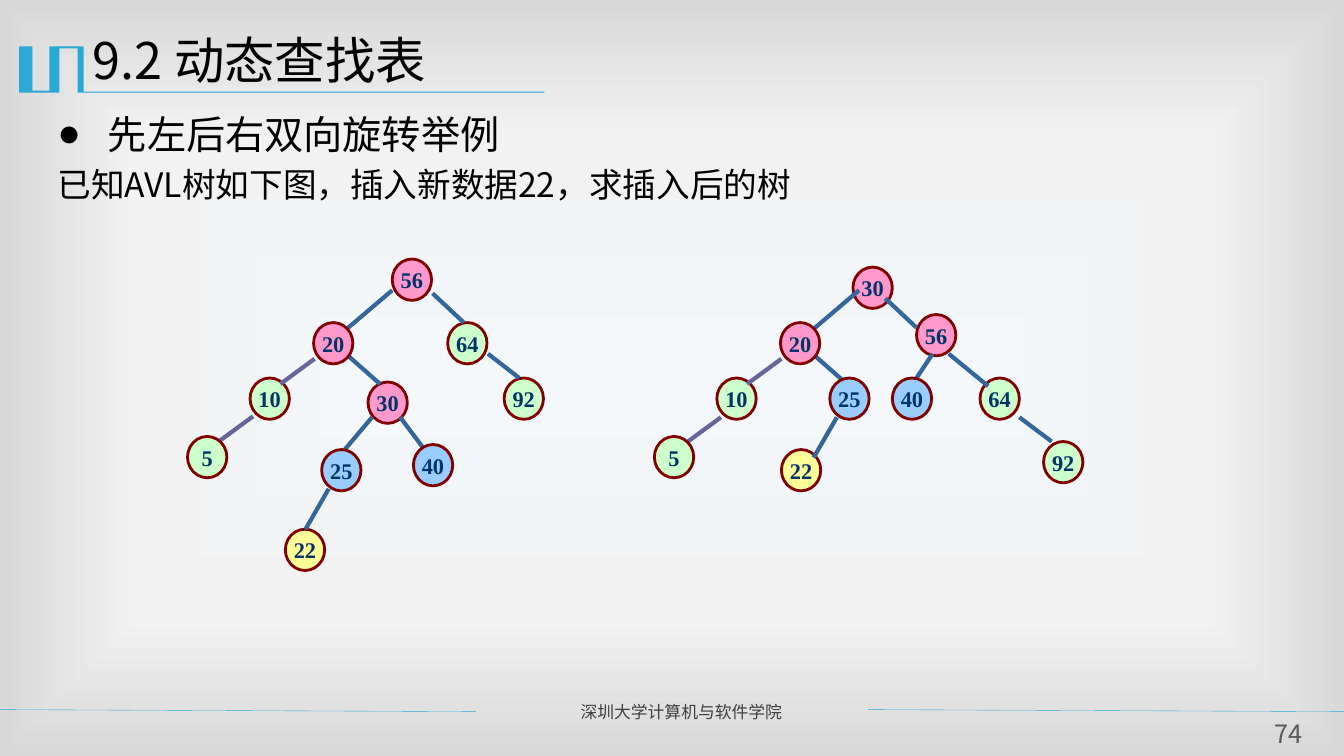
import pptx
import pptx.util
import pptx.oxml
import pptx.oxml.ns
import pptx.dml.color
import pptx.enum.text
import pptx.enum.shapes

Inches = pptx.util.Inches
Pt = pptx.util.Pt
hue = pptx.dml.color.RGBColor.from_string
align = pptx.enum.text.PP_ALIGN
anchor = pptx.enum.text.MSO_ANCHOR
kind = pptx.enum.shapes
space = pptx.oxml.ns.nsdecls("a", "p")
sans = "Noto Sans CJK SC"
teal = "28A9D6"


def say(para, text, size, color, face=sans, bold=False):
    run = para.add_run()
    run.text = text
    run.font.size = Pt(size)
    run.font.bold = bold
    run.font.color.rgb = hue(color)
    run.font.name = face
    run.font._element.append(pptx.oxml.parse_xml(f'<a:ea {space} typeface="{face}"/>'))


def link(home, ends, color, width):
    line = home.add_connector(kind.MSO_CONNECTOR.STRAIGHT, *map(Inches, ends))
    line.line.color.rgb = hue(color)
    line.line.width = Pt(width)
    line._element.spPr.append(pptx.oxml.parse_xml(f"<a:effectLst {space}/>"))


deck = pptx.Presentation()
deck.slide_width = Inches(13.33)
deck.slide_height = Inches(7.5)
slide = deck.slides.add_slide(deck.slide_layouts[1])
shapes = slide.shapes

stops = "".join(
    f'<a:gs pos="{spot * 1000}"><a:srgbClr val="{color}"/></a:gs>'
    for spot, color in [(0, "F4F8FB"), (63, "F2F2F2"), (100, "D8D8D8")]
)
slide.element.cSld.insert(0, pptx.oxml.parse_xml(
    f'<p:bg {space}><p:bgPr><a:gradFill rotWithShape="1"><a:gsLst>{stops}</a:gsLst>'
    '<a:path path="rect"><a:fillToRect l="50000" t="50000" r="50000" b="50000"/></a:path>'
    "</a:gradFill><a:effectLst/></p:bgPr></p:bg>"
))

outline = [
    (0.82, 0.46), (0.83, 0.46), (0.83, 0.91), (5.4, 0.91), (5.4, 0.92),
    (0.77, 0.92), (0.77, 0.48), (0.59, 0.48), (0.59, 0.92), (0.19, 0.92),
    (0.19, 0.46), (0.32, 0.46), (0.32, 0.9), (0.49, 0.9), (0.49, 0.46),
]
points = [(Inches(x), Inches(y)) for x, y in outline]
pen = shapes.build_freeform(*points[0])
pen.add_line_segments(points[1:], close=True)
mark = pen.convert_to_shape()
mark.shadow.inherit = False
mark.fill.solid()
mark.fill.fore_color.rgb = hue(teal)
mark.line.fill.background()

for left, right in [(-0.01, 4.72), (8.61, 13.33)]:
    link(shapes, (left, 7.04, right, 7.06), teal, 0.25)

foot = shapes.add_textbox(Inches(5.66), Inches(6.91), Inches(2.85), Inches(0.3))
foot.text_frame.word_wrap = True
say(foot.text_frame.paragraphs[0], "深圳大学计算机与软件学院", 12, "3F3F3F")

title, body = shapes.title, slide.placeholders[1]
for holder, box in [(title, (0.82, 0.24, 12, 0.87)), (body, (0.47, 1.04, 12.13, 1.83))]:
    holder.left, holder.top, holder.width, holder.height = map(Inches, box)
    holder.text_frame.vertical_anchor = anchor.TOP
    holder.text_frame.auto_size = pptx.enum.text.MSO_AUTO_SIZE.NONE
head = title.text_frame.paragraphs[0]
head.alignment = align.LEFT
say(head, "9.2 动态查找表", 36, "000000")

first = body.text_frame.paragraphs[0]
second = body.text_frame.add_paragraph()
for para, text, size, indent, bullet, gap in [
    (first, "先左后右双向旋转举例", 28, 0.5, '<a:buChar {} char="●"/>', 0),
    (second, "已知AVL树如下图，插入新数据22，求插入后的树", 24, 0, "<a:buNone {}/>", 4.8),
]:
    para.level = 1
    props = para._p.get_or_add_pPr()
    props.set("marL", str(Inches(indent)))
    props.set("indent", str(-Inches(indent)))
    props.append(pptx.oxml.parse_xml(bullet.format(space)))
    para.space_before = Pt(gap)
    say(para, text, size, "000000")

page = shapes.add_textbox(Inches(12.48), Inches(7.13), Inches(0.59), Inches(0.31))
frame = page.text_frame
frame.word_wrap = True
frame.margin_left = frame.margin_right = frame.margin_top = frame.margin_bottom = 0
frame.paragraphs[0].alignment = align.CENTER
say(frame.paragraphs[0], "74", 18, "595959")

tones = {
    56: "FF99CC", 30: "FF99CC", 20: "FF99CC",
    64: "CCFFCC", 10: "CCFFCC", 92: "CCFFCC", 5: "CCFFCC",
    25: "99CCFF", 40: "99CCFF", 22: "FFFF99",
}
before = {
    "back": {56: (3.89, 2.57), 64: (4.44, 3.2), 10: (2.48, 3.75),
             92: (5, 3.75), 30: (3.65, 3.79), 22: (2.83, 5.25)},
    "blue": [(3.89, 2.88, 3.42, 3.28), (4.29, 2.91, 4.6, 3.2),
             (3.43, 3.51, 3.77, 3.81), (4.84, 3.51, 5.15, 3.75),
             (3.26, 4.85, 3.03, 5.25), (3.97, 4.14, 4.21, 4.46),
             (3.69, 4.14, 3.42, 4.46)],
    "mauve": [(3.12, 3.56, 2.78, 3.81), (2.51, 4.13, 2.17, 4.38)],
    "front": {25: (3.19, 4.46), 20: (3.11, 3.2), 40: (4.1, 4.41), 5: (1.86, 4.33)},
}
after = {
    "back": {56: (9.09, 3.12), 64: (9.72, 3.75), 10: (7.11, 3.75),
             92: (10.35, 4.38), 30: (8.46, 2.65), 22: (7.75, 4.46)},
    "blue": [(8.52, 2.88, 8.05, 3.28), (8.78, 2.96, 9.09, 3.25),
             (8.06, 3.51, 8.4, 3.81), (10.11, 4.14, 10.43, 4.38),
             (8.3, 4.14, 8.07, 4.54), (9.25, 3.51, 9.09, 3.75),
             (9.41, 3.51, 9.8, 3.83)],
    "mauve": [(7.75, 3.56, 7.41, 3.81), (7.15, 4.14, 6.81, 4.39)],
    "front": {25: (8.23, 3.75), 20: (7.74, 3.2), 40: (8.85, 3.75), 5: (6.49, 4.33)},
}

for tree in (before, after):
    home = shapes.add_group_shape().shapes
    for layer in ("back", "front"):
        for key, (left, top) in tree[layer].items():
            node = home.add_shape(kind.MSO_SHAPE.OVAL, Inches(left), Inches(top),
                                  Inches(0.39), Inches(0.41))
            node.shadow.inherit = False
            node.fill.solid()
            node.fill.fore_color.rgb = hue(tones[key])
            node.line.color.rgb = hue("800000")
            node.line.width = Pt(2)
            frame = node.text_frame
            frame.word_wrap = False
            frame.vertical_anchor = anchor.MIDDLE
            frame.paragraphs[0].alignment = align.CENTER
            say(frame.paragraphs[0], str(key), 16, "003366", "Times New Roman", True)
        if layer == "back":
            for name, color in [("blue", "336699"), ("mauve", "666699")]:
                for ends in tree[name]:
                    link(home, ends, color, 3)

deck.save("out.pptx")
